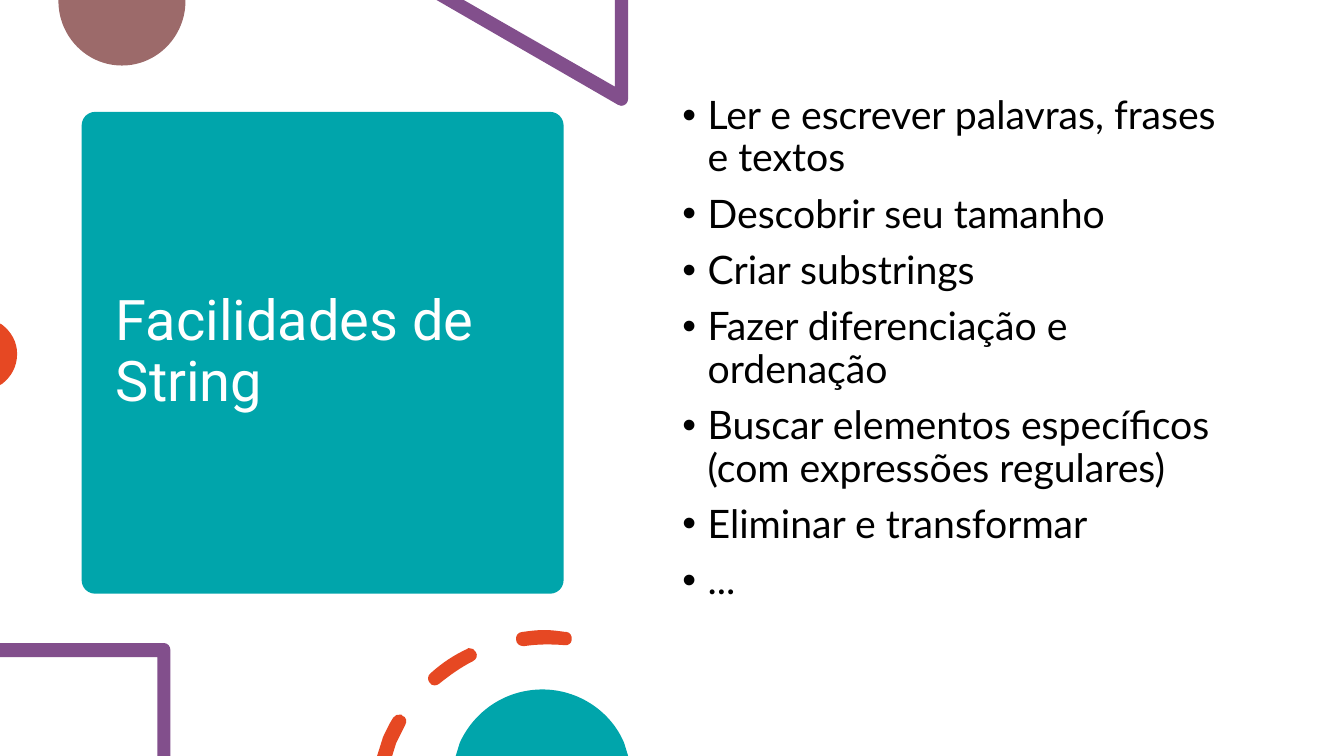
from lxml import etree
from pptx import Presentation
from pptx.dml.color import RGBColor
from pptx.enum.shapes import MSO_SHAPE
from pptx.enum.text import MSO_ANCHOR
from pptx.oxml.ns import qn
from pptx.util import Inches, Pt

ROUNDED = MSO_SHAPE.ROUNDED_RECTANGLE
TOP, MIDDLE = MSO_ANCHOR.TOP, MSO_ANCHOR.MIDDLE
COLORS = {
    "teal": "00A5AB",
    "purple": "824F8C",
    "orange": "E64823",
    "mauve": "9C6A6A",
    "white": "FFFFFF",
    "black": "000000",
}

TITLE = "Facilidades de String"
FACILITIES = [
    "Ler e escrever palavras, frases e textos",
    "Descobrir seu tamanho",
    "Criar substrings",
    "Fazer diferenciação e ordenação",
    "Buscar elementos específicos (com expressões regulares)",
    "Eliminar e transformar",
    "...",
]

# Each contour starts at a point; a pair is a line, six numbers are a Bézier curve.
MAUVE_DISC = [
    [(1.84, 0), (0.58, 0), (0.58, 0.01), (0.58, 0.36, 0.86, 0.65, 1.21, 0.65),
     (1.56, 0.65, 1.84, 0.36, 1.84, 0.01)],
]
TRIANGLE = [
    [(6.23, 0), (6.1, 0), (6.1, 0.86), (4.6, 0), (4.33, 0), (6.13, 1.04),
     (6.14, 1.05, 6.15, 1.05, 6.16, 1.05), (6.2, 1.05, 6.23, 1.02, 6.23, 0.98)],
]
ORANGE_DISC = [
    [(0, 3.21), (0, 3.82), (0.02, 3.81), (0.11, 3.74, 0.17, 3.64, 0.17, 3.51),
     (0.17, 3.39, 0.11, 3.29, 0.02, 3.22)],
]
SQUARE = [
    [(1.63, 6.38), (0, 6.38), (0, 6.52), (1.56, 6.52), (1.56, 7.5), (1.69, 7.5),
     (1.69, 6.45), (1.69, 6.41, 1.66, 6.38, 1.63, 6.38)],
]
DASHED_ARC = [
    [(3.97, 7.09), (3.94, 7.08, 3.92, 7.1, 3.9, 7.12),
     (3.86, 7.18, 3.83, 7.25, 3.8, 7.31), (3.74, 7.5), (3.89, 7.5), (3.93, 7.37),
     (3.96, 7.31, 3.99, 7.25, 4.02, 7.19), (4.04, 7.16, 4.03, 7.11, 3.99, 7.1),
     (3.99, 7.09, 3.98, 7.09, 3.97, 7.09)],
    [(4.65, 6.43), (4.65, 6.43, 4.64, 6.43, 4.63, 6.44),
     (4.5, 6.5, 4.38, 6.58, 4.27, 6.68), (4.24, 6.7, 4.24, 6.75, 4.26, 6.77),
     (4.27, 6.79, 4.29, 6.8, 4.31, 6.8), (4.31, 6.8),
     (4.33, 6.8, 4.35, 6.79, 4.36, 6.78), (4.46, 6.7, 4.57, 6.62, 4.69, 6.56),
     (4.73, 6.54, 4.74, 6.5, 4.72, 6.47), (4.71, 6.44, 4.68, 6.43, 4.65, 6.43)],
    [(5.4, 6.25), (5.32, 6.25, 5.25, 6.26, 5.18, 6.27),
     (5.14, 6.27, 5.11, 6.31, 5.12, 6.35), (5.12, 6.38, 5.15, 6.41, 5.19, 6.41),
     (5.19, 6.41, 5.19, 6.41, 5.2, 6.41), (5.33, 6.39, 5.46, 6.39, 5.6, 6.4),
     (5.63, 6.41, 5.67, 6.38, 5.67, 6.35), (5.68, 6.31, 5.65, 6.27, 5.62, 6.27),
     (5.62, 6.27, 5.61, 6.27, 5.61, 6.27), (5.54, 6.26, 5.47, 6.25, 5.4, 6.25)],
]
TEAL_DISC = [
    [(5.38, 6.84), (5.01, 6.84, 4.7, 7.06, 4.56, 7.37), (4.52, 7.5), (6.23, 7.5),
     (6.19, 7.37), (6.06, 7.06, 5.74, 6.84, 5.38, 6.84)],
]


def rgb(color):
    return RGBColor.from_string(COLORS[color])


def paint(shape, color):
    shape.shadow.inherit = False
    shape.fill.solid()
    shape.fill.fore_color.rgb = rgb(color)
    shape.line.fill.background()


def end_point(step):
    return Inches(step[-2]), Inches(step[-1])


def bend(outline, steps):
    """Turn the outline's straight segments into curves where a step has six numbers."""
    segments = list(outline._element.iter(qn("a:lnTo")))
    for segment, step in zip(segments, steps):
        if len(step) == 6:
            curve = etree.Element(qn("a:cubicBezTo"))
            for x, y in zip(step[::2], step[1::2]):
                etree.SubElement(curve, qn("a:pt"), x=str(Inches(x) - outline.left),
                                 y=str(Inches(y) - outline.top))
            segment.getparent().replace(segment, curve)


def add_outline(page, contours, color):
    builder = page.shapes.build_freeform(*end_point(contours[0][0]))
    for index, contour in enumerate(contours):
        if index:
            builder.move_to(*end_point(contour[0]))
        builder.add_line_segments([end_point(step) for step in contour[1:]])
    outline = builder.convert_to_shape()
    bend(outline, [step for contour in contours for step in contour[1:]])
    paint(outline, color)


def add_panel(page, left, top, width, height, color):
    panel = page.shapes.add_shape(
        ROUNDED, Inches(left), Inches(top), Inches(width), Inches(height))
    panel.adjustments[0] = 0.028
    paint(panel, color)


def add_text(page, left, top, width, height, lines, font, size, color, anchor):
    """Add a text box with one paragraph a line and return its paragraphs."""
    box = page.shapes.add_textbox(
        Inches(left), Inches(top), Inches(width), Inches(height))
    frame = box.text_frame
    frame.word_wrap = True
    frame.vertical_anchor = anchor
    frame.text = "\n".join(lines)
    for para in frame.paragraphs:
        para.line_spacing = 0.9
        para.font.name = font
        para.font.size = Pt(size)
        para.font.color.rgb = rgb(color)
    return frame.paragraphs


def add_bullet(para):
    para.space_before = Pt(10)
    properties = para._p.get_or_add_pPr()
    properties.set("marL", str(Inches(0.25)))
    properties.set("indent", str(Inches(-0.25)))
    bullet_font = etree.Element(qn("a:buFont"), typeface="Arial")
    bullet = etree.Element(qn("a:buChar"), char="•")
    properties.find(qn("a:spcBef")).addnext(bullet_font)
    bullet_font.addnext(bullet)


def main():
    deck = Presentation()
    deck.slide_width, deck.slide_height = Inches(13.33), Inches(7.5)
    page = deck.slides.add_slide(deck.slide_layouts[6])

    add_panel(page, 0.81, 1.11, 4.78, 4.78, "teal")
    add_text(page, 1.05, 1.22, 4.31, 4.56, [TITLE], "Roboto", 40, "white", MIDDLE)
    add_outline(page, MAUVE_DISC, "mauve")
    add_outline(page, TRIANGLE, "purple")
    add_outline(page, ORANGE_DISC, "orange")
    for para in add_text(page, 6.67, 0.9, 5.75, 5.35, FACILITIES,
                         "Lato", 28, "black", TOP):
        add_bullet(para)
    add_outline(page, SQUARE, "purple")
    add_outline(page, DASHED_ARC, "orange")
    add_outline(page, TEAL_DISC, "teal")
    deck.save("out.pptx")


if __name__ == "__main__":
    main()
